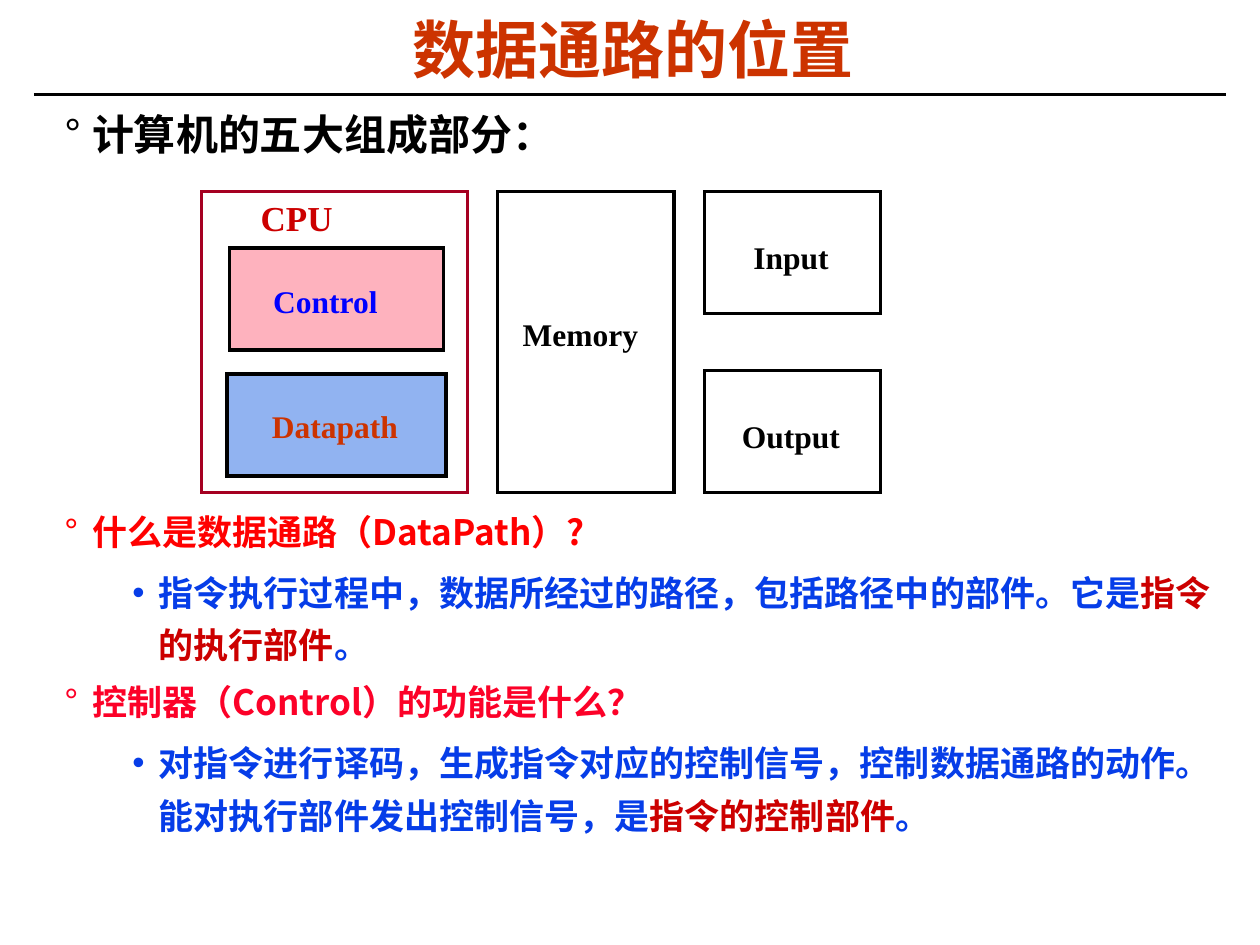
from lxml.etree import SubElement
from pptx import Presentation
from pptx.dml.color import RGBColor
from pptx.enum.shapes import MSO_CONNECTOR, MSO_SHAPE
from pptx.enum.text import MSO_ANCHOR, PP_ALIGN
from pptx.oxml.ns import qn
from pptx.util import Inches, Pt

COLORS = {
    "black": "000000", "title": "CC3300", "cpu": "CC0000", "cpu_border": "A50021",
    "control": "0000FF", "control_fill": "FC0128", "datapath_fill": "91B3F1",
    "question": "FF0000", "question_2": "FC0128", "answer": "063DE8", "key": "CC0000",
}
SANS, CJK, SERIF = "Arial", "Noto Sans CJK SC", "Times New Roman"

# Content: paragraphs are (level, [(text, color)]); level None has no bullet
TITLE = [(None, [("数据通路的位置", "title")])]
HEADING = [(0, [("计算机的五大组成部分：", "black")])]
QUESTIONS = [
    (0, [("什么是数据通路（DataPath）?", "question")]),
    (1, [("指令执行过程中，数据所经过的路径，包括路径中的部件。它是", "answer"),
         ("指令的执行部件", "key"), ("。", "answer")]),
    (0, [("控制器（Control）的功能是什么？", "question_2")]),
    (1, [("对指令进行译码，生成指令对应的控制信号，控制数据通路的动作。"
          "能对执行部件发出控制信号，是", "answer"),
         ("指令的控制部件", "key"), ("。", "answer")]),
]

# Diagram rows: top edges and heights shared by the blocks
TOP, TALL, SHORT = 1.52, 2.39, 0.97
OUTPUT_TOP = TOP + TALL - SHORT
LABEL_SIZE = (1.25, 0.4)
# box, border, fill, opacity %, label, label corner, size, color
BLOCKS = [
    ((1.6, TOP, 2.11, TALL), "cpu_border", None, 100,
     "CPU", (1.97, 1.51), 20, "cpu"),
    ((1.82, 1.97, 1.7, 0.81), "black", "control_fill", 30,
     "Control", (2.07, 2.19), 18, "control"),
    ((1.8, 2.97, 1.74, 0.81), "black", "datapath_fill", 100,
     "Datapath", (2.06, 3.18), 18, "title"),
    ((3.95, TOP, 1.4, TALL), "black", None, 100,
     "Memory", (4.05, 2.45), 18, "black"),
    ((5.59, TOP, 1.4, SHORT), "black", None, 100,
     "Input", (5.88, TOP + 0.32), 18, "black"),
    ((5.59, OUTPUT_TOP, 1.4, SHORT), "black", None, 100,
     "Output", (5.79, OUTPUT_TOP + 0.32), 18, "black"),
]

# Bullet level: character, left margin, hanging indent, line height in points
LEVELS = {0: ("°", 0.22, -0.22, 27.5), 1: ("•", 0.75, -0.21, 30)}


def rgb(name):
    return RGBColor.from_string(COLORS[name])


def add_run(paragraph, text, color, size, font):
    run = paragraph.add_run()
    run.text = text
    run.font.size, run.font.bold, run.font.name = Pt(size), True, font
    run.font.color.rgb = rgb(color)
    if font != SERIF:
        SubElement(run.font._element, qn("a:ea")).set("typeface", CJK)


def add_textbox(slide, box, margins):
    frame = slide.shapes.add_textbox(*map(Inches, box)).text_frame
    frame.word_wrap = True
    frame.vertical_anchor = MSO_ANCHOR.TOP
    frame.margin_left = frame.margin_right = Inches(margins[0])
    frame.margin_top = frame.margin_bottom = Inches(margins[1])
    return frame


def set_bullet(paragraph, level):
    character, margin, indent, _ = LEVELS[level]
    properties = paragraph._p.get_or_add_pPr()
    properties.set("marL", str(Inches(margin)))
    properties.set("indent", str(Inches(indent)))
    SubElement(properties, qn("a:buFont")).set("typeface", SANS)
    SubElement(properties, qn("a:buChar")).set("char", character)


def add_paragraphs(slide, box, content, size, font, align=PP_ALIGN.LEFT, line=None):
    frame = add_textbox(slide, box, (0.07, 0.03))
    for index, (level, runs) in enumerate(content):
        paragraph = frame.paragraphs[0] if index == 0 else frame.add_paragraph()
        paragraph.alignment = align
        paragraph.line_spacing = Pt(line or LEVELS[level][3])
        paragraph.space_before = Pt(5 if index else 0)
        if level is not None:
            set_bullet(paragraph, level)
        for text, color in runs:
            add_run(paragraph, text, color, size, font)


def add_block(slide, box, border, fill, opacity, label, corner, size, color):
    block = slide.shapes.add_shape(MSO_SHAPE.RECTANGLE, *map(Inches, box))
    block.shadow.inherit = False
    block.line.color.rgb, block.line.width = rgb(border), Pt(2)
    SubElement(block.line._ln, qn("a:miter")).set("lim", "800000")
    if fill:
        block.fill.solid()
        block.fill.fore_color.rgb = rgb(fill)
        if opacity < 100:
            tint = block._element.spPr.find(qn("a:solidFill"))[0]
            SubElement(tint, qn("a:alpha")).set("val", str(opacity * 1000))
    else:
        block.fill.background()
    frame = add_textbox(slide, corner + LABEL_SIZE, (0.1, 0.05))
    add_run(frame.paragraphs[0], label, color, size, SERIF)


def main():
    deck = Presentation()
    deck.slide_width, deck.slide_height = Inches(10), Inches(7.5)
    slide = deck.slides.add_slide(deck.slide_layouts[6])

    # Title and rule
    rule = slide.shapes.add_connector(
        MSO_CONNECTOR.STRAIGHT, *map(Inches, (0.27, 0.75, 9.73, 0.75)))
    rule.line.color.rgb, rule.line.width = rgb("black"), Pt(1.5)
    SubElement(rule._element.spPr, qn("a:effectLst"))
    add_paragraphs(slide, (0.26, 0.15, 9.53, 0.56), TITLE, 36, SANS, PP_ALIGN.CENTER, 36)

    # Heading, questions and answers
    add_paragraphs(slide, (0.44, 0.9, 9.28, 0.4), HEADING, 24, SANS, line=24)
    add_paragraphs(slide, (0.44, 3.97, 9.28, 2.86), QUESTIONS, 20, CJK)

    # Computer block diagram
    for block in BLOCKS:
        add_block(slide, *block)

    deck.save("out.pptx")


if __name__ == "__main__":
    main()
